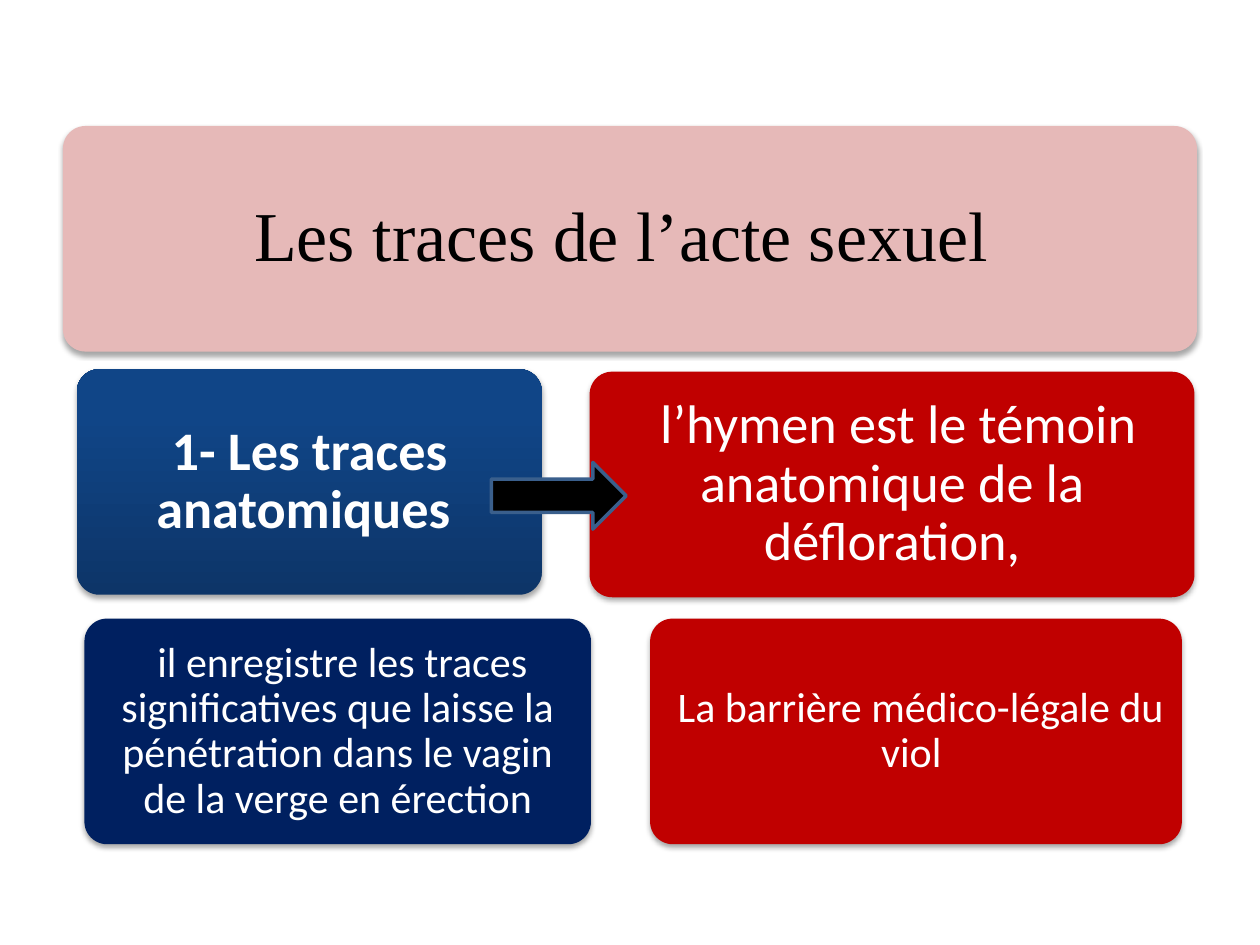
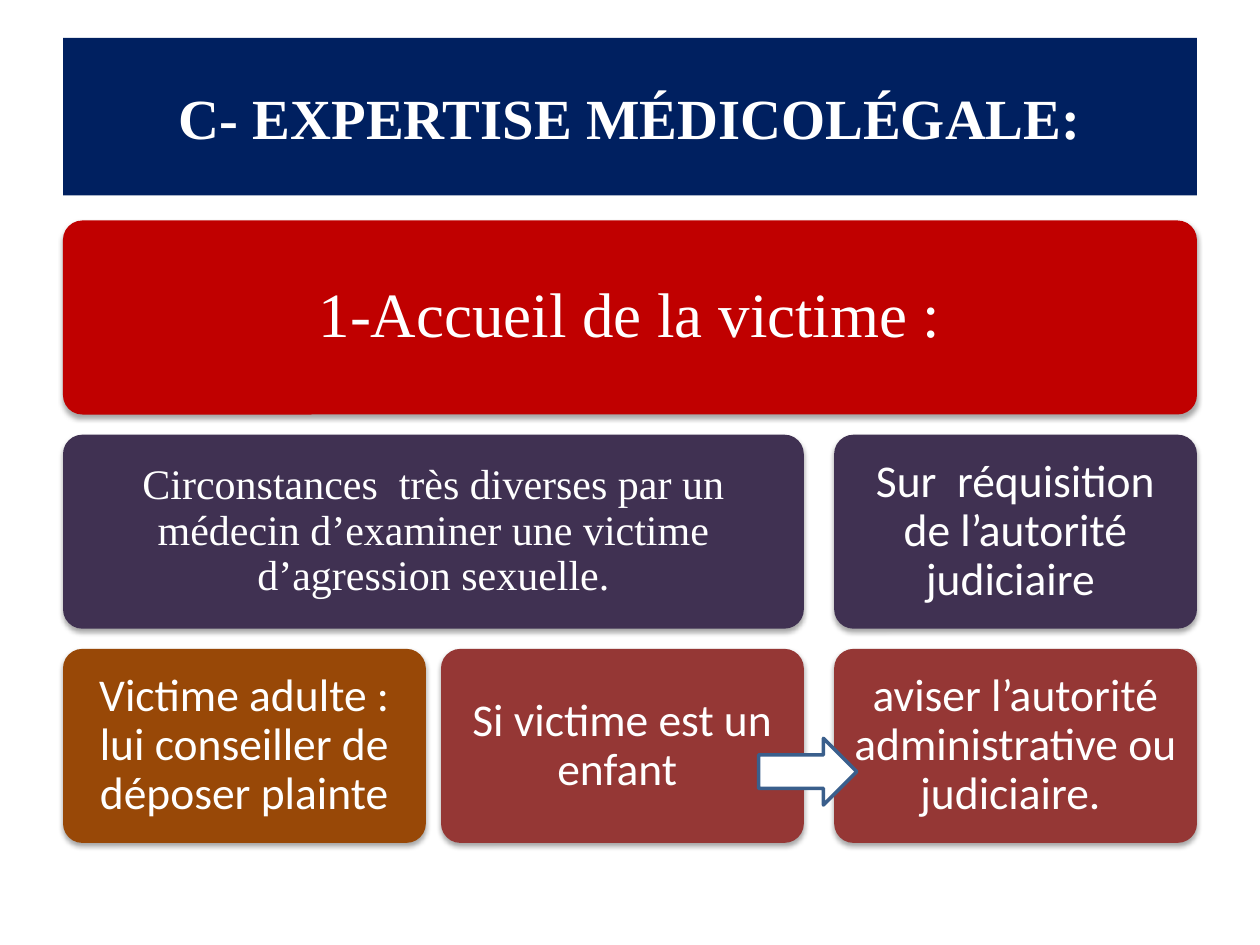
from lxml import etree
from pptx import Presentation, util as u
from pptx.dml.color import RGBColor
from pptx.enum import shapes, text
from pptx.oxml.ns import qn

SERIF, SANS = "Times New Roman", "Calibri"
WHITE, BLACK = "FFFFFF", "000000"
NAVY, RED, PINK = "002060", "C00000", "E6B9B8"
PURPLE, BROWN, BRICK = "403152", "984807", "953735"
ARROW_EDGE = "3A5F8C"
BLUE_FADE = ((0, "0D3568"), (0.8, "104587"))  # bottom to top
CORNER = 0.1
LEFT, FULL_WIDTH = 0.5, 9


def rgb(value):
    return RGBColor.from_string(value)


class Deck:
    def __init__(self):
        self.prs = Presentation()
        self.prs.slide_width, self.prs.slide_height = u.Inches(10), u.Inches(7.5)
        self.slide = None

    def new_slide(self, titled=False):
        self.slide = self.prs.slides.add_slide(self.prs.slide_layouts[5 if titled else 6])

    def label(self, shape, words, size, font=SANS, color=WHITE, bold=False, inset=0.1, spacing=1.0):
        frame = shape.text_frame
        frame.text = words
        margin = u.Inches(inset)
        layout = dict(word_wrap=True, auto_size=text.MSO_AUTO_SIZE.NONE,
                      vertical_anchor=text.MSO_ANCHOR.MIDDLE,
                      margin_left=margin, margin_right=margin,
                      margin_top=margin, margin_bottom=margin)
        for name, value in layout.items():
            setattr(frame, name, value)
        paragraph = frame.paragraphs[0]
        paragraph.alignment = text.PP_ALIGN.CENTER
        paragraph.line_spacing = spacing
        letters = paragraph.runs[0].font
        for name, value in dict(name=font, size=u.Pt(size), bold=bold).items():
            setattr(letters, name, value)
        letters.color.rgb = rgb(color)

    def paint(self, shape, fill):
        """Fill with one colour, or with two (position, colour) stops going upwards."""
        if isinstance(fill, str):
            shape.fill.solid()
            shape.fill.fore_color.rgb = rgb(fill)
            return
        shape.fill.gradient()
        shape.fill.gradient_angle = 90
        for stop, (position, color) in zip(shape.fill.gradient_stops, fill):
            stop.position = position
            stop.color.rgb = rgb(color)

    def soft_shadow(self, shape):
        shape.shadow.inherit = False
        effects = shape._element.spPr.find(qn("a:effectLst"))
        shadow = etree.SubElement(effects, qn("a:outerShdw"), blurRad=str(u.Pt(3.1)),
                                  dist=str(u.Pt(1.8)), dir="5400000", rotWithShape="0")
        color = etree.SubElement(shadow, qn("a:srgbClr"), val=BLACK)
        etree.SubElement(color, qn("a:alpha"), val="35000")

    def add(self, kind, box):
        return self.slide.shapes.add_shape(kind, *map(u.Inches, box))

    def title(self, words, box):
        title = self.slide.shapes.title
        title.left, title.top, title.width, title.height = map(u.Inches, box)
        self.paint(title, NAVY)
        self.label(title, words, 32.4, SERIF, bold=True)

    def card(self, words, box, fill, size, **style):
        card = self.add(shapes.MSO_SHAPE.ROUNDED_RECTANGLE, box)
        card.adjustments[0] = CORNER
        card.line.fill.background()
        self.paint(card, fill)
        self.soft_shadow(card)
        # The margin grows with the type; the rounded corners already take part of it.
        corner_margin = 0.29 * CORNER * min(box[2:])
        self.label(card, words, size, inset=size / 240 - corner_margin, spacing=0.9, **style)

    def arrow(self, box, fill):
        arrow = self.add(shapes.MSO_SHAPE.RIGHT_ARROW, box)
        arrow.shadow.inherit = False
        self.paint(arrow, fill)
        arrow.line.color.rgb = rgb(ARROW_EDGE)
        arrow.line.width = u.Pt(2)


def traces_slide(deck):
    deck.new_slide()
    height = 1.79
    deck.card("Les traces de l’acte sexuel ", (LEFT, 1, FULL_WIDTH, height), PINK, 40,
              font=SERIF, color=BLACK)
    deck.card("1- Les traces anatomiques ", (0.61, 2.93, 3.69, height), BLUE_FADE, 31, bold=True)
    deck.card(" il enregistre les traces significatives que laisse la pénétration dans le vagin "
              "de la verge en érection", (0.67, 4.91, 4.02, height), NAVY, 24)
    deck.card(" l’hymen est le témoin anatomique de la défloration,",
              (4.68, 2.95, 4.8, height), RED, 31)
    deck.card(" La barrière médico-légale du viol ", (5.16, 4.91, 4.22, height), RED, 24)
    deck.arrow((3.9, 3.67, 1.07, 0.53), BLACK)


def expertise_slide(deck):
    deck.new_slide(titled=True)
    deck.title("C- EXPERTISE MÉDICOLÉGALE:", (LEFT, 0.3, FULL_WIDTH, 1.25))
    height, width = 1.54, 2.88
    welcome, request, action = (1.75 + 1.7 * row for row in range(3))
    middle, right = 3.5, 6.62
    deck.card("1-Accueil de la victime :", (LEFT, welcome, FULL_WIDTH, height), RED, 36, font=SERIF)
    deck.card("Circonstances  très diverses par un médecin d’examiner une victime "
              "d’agression sexuelle.", (LEFT, request, middle + width - LEFT, height),
              PURPLE, 24, font=SERIF)
    for words, left, top, fill in (
            ("Victime adulte : lui conseiller de déposer plainte", LEFT, action, BROWN),
            ("Si victime est un enfant ", middle, action, BRICK),
            ("Sur  réquisition de l’autorité judiciaire ", right, request, PURPLE),
            ("aviser l’autorité administrative ou judiciaire. ", right, action, BRICK)):
        deck.card(words, (left, top, width, height), fill, 26)
    deck.arrow((6.02, 5.86, 0.78, 0.53), WHITE)


def main():
    deck = Deck()
    traces_slide(deck)
    expertise_slide(deck)
    deck.prs.save("out.pptx")


if __name__ == "__main__":
    main()
